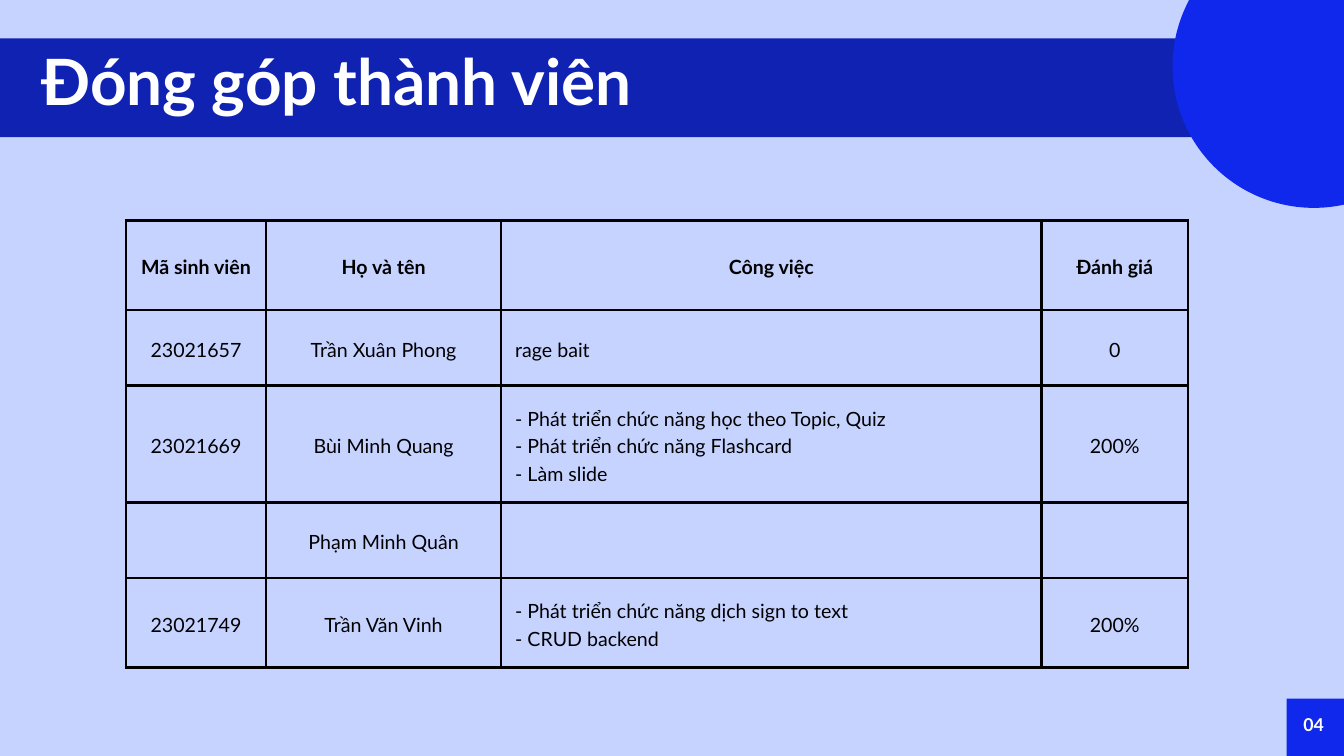
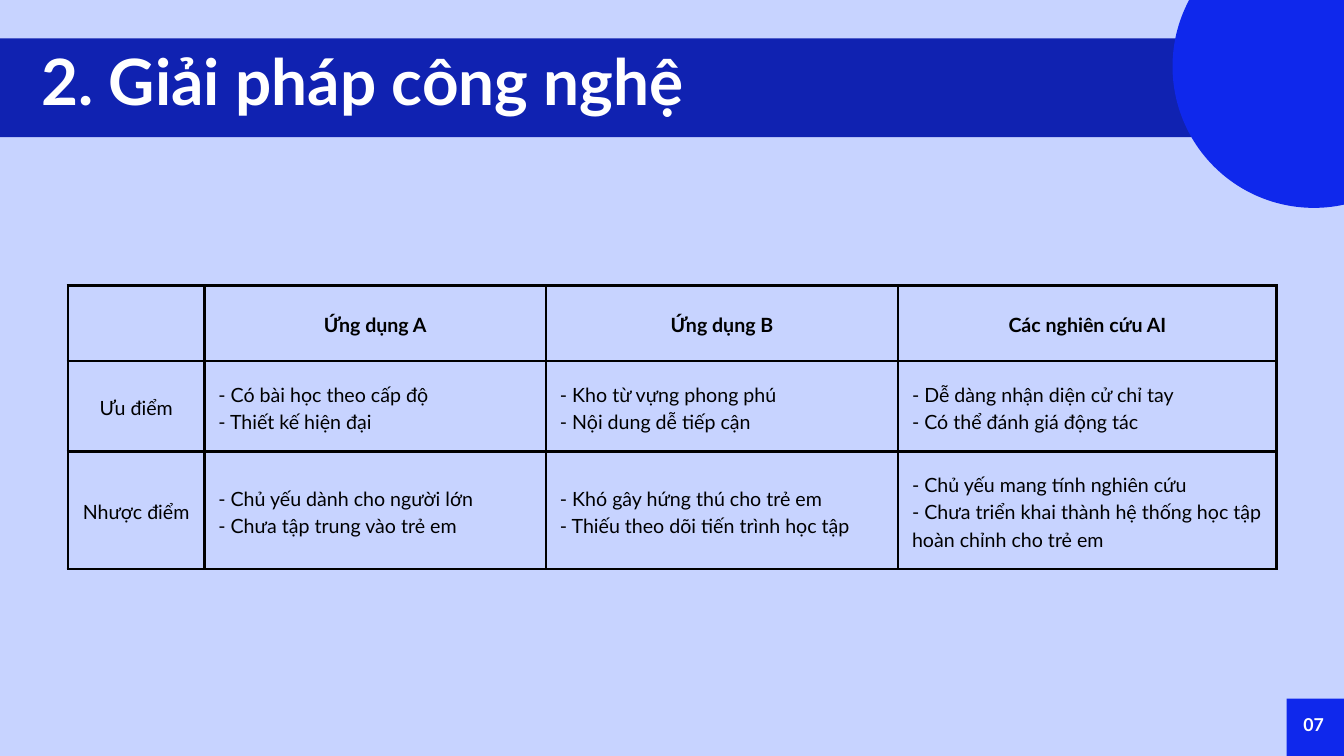
from pptx import Presentation
from pptx.dml.color import RGBColor
from pptx.enum.shapes import MSO_SHAPE as Shape
from pptx.enum.text import MSO_ANCHOR as Anchor, MSO_AUTO_SIZE as Fit, PP_ALIGN as Align
from pptx.oxml import parse_xml
from pptx.oxml.ns import nsdecls
from pptx.util import Pt

PX = 9525  # EMU in one px
WIDE, HIGH = 1920, 1080
PALE = RGBColor(0xC7, 0xD3, 0xFF)
NAVY = RGBColor(0x10, 0x22, 0xB1)
BLUE = RGBColor(0x0F, 0x28, 0xEC)
WHITE = RGBColor(0xFF, 0xFF, 0xFF)
BLACK = RGBColor(0, 0, 0)
FONT = "Lato"
INSET = 20
RULE = 3  # points

TEAM = [
    ["Mã sinh viên", "Họ và tên", "Công việc", "Đánh giá"],
    ["23021657", "Trần Xuân Phong", "rage bait", "0"],
    ["23021669", "Bùi Minh Quang",
     "- Phát triển chức năng học theo Topic, Quiz\n"
     "- Phát triển chức năng Flashcard\n- Làm slide", "200%"],
    ["", "Phạm Minh Quân", "", ""],
    ["23021749", "Trần Văn Vinh",
     "- Phát triển chức năng dịch sign to text\n- CRUD backend", "200%"],
]
TOOLS = [
    ["", "Ứng dụng A", "Ứng dụng B", "Các nghiên cứu AI"],
    ["Ưu điểm",
     "- Có bài học theo cấp độ\n- Thiết kế hiện đại",
     "- Kho từ vựng phong phú\n- Nội dung dễ tiếp cận",
     "- Dễ dàng nhận diện cử chỉ tay\n- Có thể đánh giá động tác"],
    ["Nhược điểm",
     "- Chủ yếu dành cho người lớn\n- Chưa tập trung vào trẻ em",
     "- Khó gây hứng thú cho trẻ em\n- Thiếu theo dõi tiến trình học tập",
     "- Chủ yếu mang tính nghiên cứu\n"
     "- Chưa triển khai thành hệ thống học tập hoàn chỉnh cho trẻ em"],
]


def scale(*sizes):
    return [size * PX for size in sizes]


def style(frame, size, lead, color, bold=True, align=Align.LEFT):
    """Format every paragraph of a text frame; lead is the line pitch in points."""
    for para in frame.paragraphs:
        para.alignment = align
        para.line_spacing = Pt(lead)
        font = para.font
        font.name, font.size, font.bold = FONT, Pt(size), bold
        font.color.rgb = color
        for run in para.runs:
            run.font.name, run.font.size, run.font.bold = FONT, Pt(size), bold
            run.font.color.rgb = color


def add_block(slide, kind, box, color):
    block = slide.shapes.add_shape(kind, *scale(*box))
    block.shadow.inherit = False
    block.fill.solid()
    block.fill.fore_color.rgb = color
    block.line.fill.background()


def add_label(slide, text, box, size, lead):
    frame = slide.shapes.add_textbox(*scale(*box)).text_frame
    frame.margin_left = frame.margin_right = 0
    frame.margin_top = frame.margin_bottom = 0
    frame.word_wrap = True
    frame.auto_size = Fit.SHAPE_TO_FIT_TEXT
    frame.text = text
    style(frame, size, lead, WHITE)


def add_rules(cell):
    """Draw the four borders of a cell."""
    props = cell._tc.get_or_add_tcPr()
    for spot, side in enumerate("LRTB"):
        props.insert(spot, parse_xml(
            f'<a:ln{side} {nsdecls("a")} w="{Pt(RULE)}"><a:solidFill>'
            f'<a:srgbClr val="{BLACK}"/></a:solidFill></a:ln{side}>'))


def add_grid(slide, rows, left, top, widths, heights, lists):
    """Add a ruled table; body cells in the columns of lists align left."""
    box = scale(left, top, sum(widths), sum(heights))
    table = slide.shapes.add_table(len(rows), len(widths), *box).table
    table.first_row = table.horz_banding = False
    for col, width in zip(table.columns, scale(*widths)):
        col.width = width
    for row, height in zip(table.rows, scale(*heights)):
        row.height = height
    for r, row in enumerate(rows):
        for c, text in enumerate(row):
            cell = table.cell(r, c)
            cell.margin_left = cell.margin_right = INSET * PX
            cell.margin_top = cell.margin_bottom = INSET * PX
            cell.vertical_anchor = Anchor.MIDDLE
            cell.fill.background()
            add_rules(cell)
            cell.text_frame.text = text
            align = Align.LEFT if r and c in lists else Align.CENTER
            style(cell.text_frame, 21, 29.4, BLACK, r == 0, align)


def add_page(deck, title, number, width, **grid):
    """Add a slide with band, disc, number tag, table and title."""
    slide = deck.slides.add_slide(deck.slide_layouts[6])
    slide.background.fill.solid()
    slide.background.fill.fore_color.rgb = PALE
    add_block(slide, Shape.RECTANGLE, (-23, 55, 1880, 141), NAVY)
    add_block(slide, Shape.OVAL, (1675, -107, 404, 404), BLUE)
    add_block(slide, Shape.RECTANGLE, (WIDE - 82, HIGH - 82, 82, 82), BLUE)
    add_grid(slide, **grid)
    add_label(slide, number, (1862, 1015, 40, 39), 19, 26.6)
    add_label(slide, title, (59, 41, width, 142), 68.4, 95.8)


def main():
    deck = Presentation()
    deck.slide_width, deck.slide_height = scale(WIDE, HIGH)
    add_page(deck, "Đóng góp thành viên", "04", 1150,
             rows=TEAM, left=180, top=315, widths=[200, 336, 772, 209],
             heights=[128, 108, 167, 108, 128], lists={2})
    add_page(deck, "2. Giải pháp công nghệ", "07", 1819,
             rows=TOOLS, left=97, top=408, widths=[195, 488, 503, 541],
             heights=[108, 129, 168], lists={1, 2, 3})
    deck.save("out.pptx")


if __name__ == "__main__":
    main()
